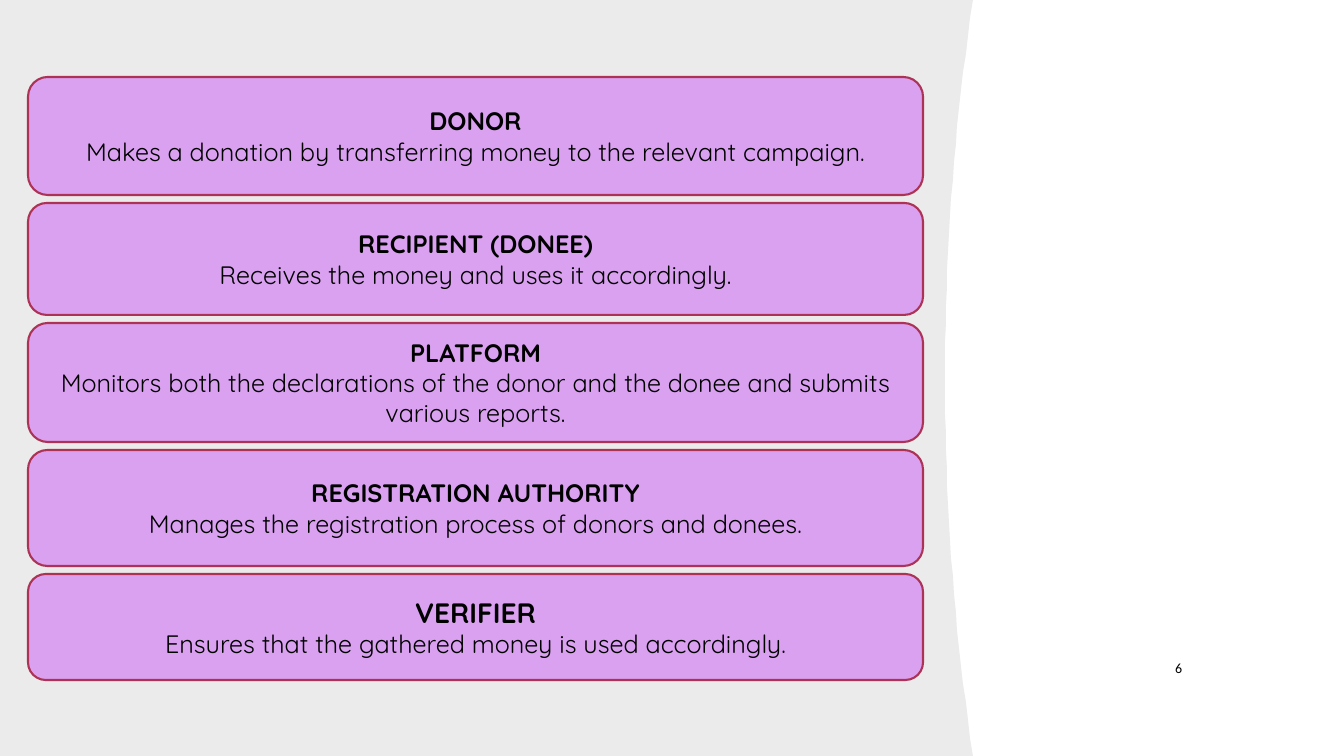
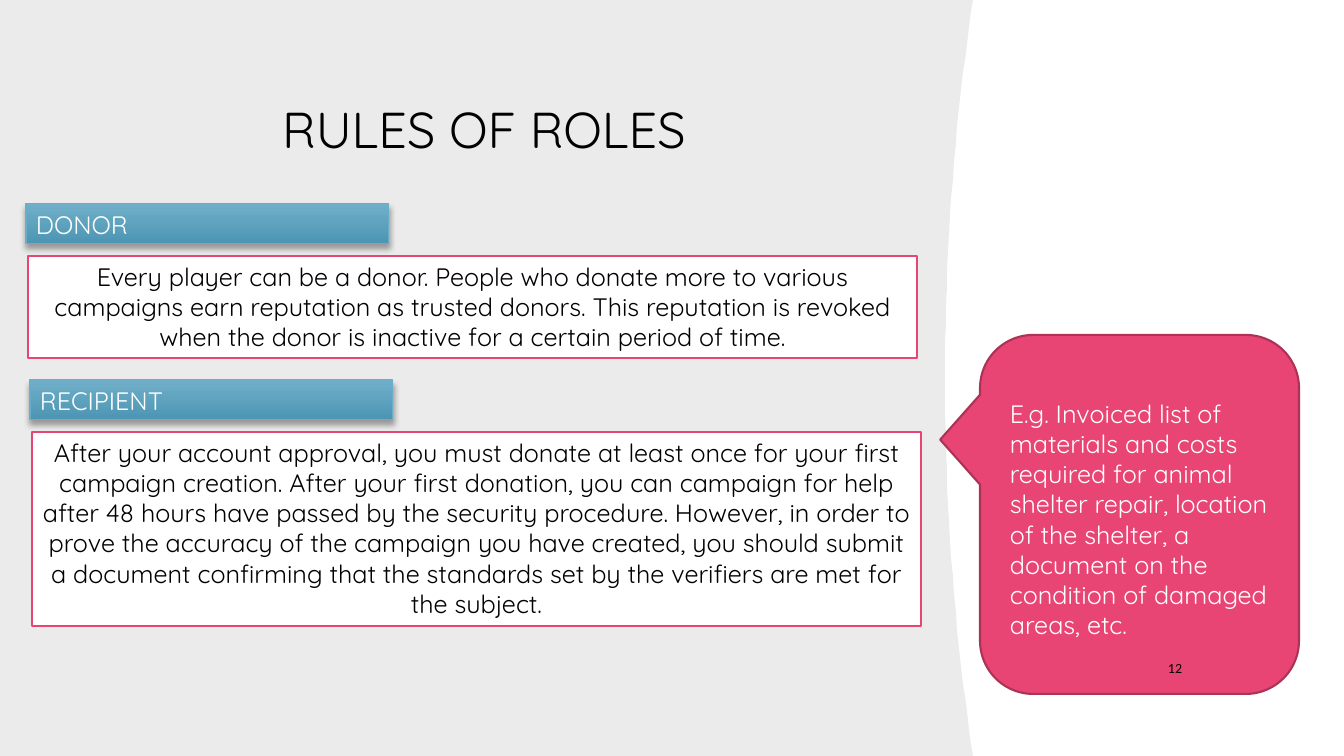
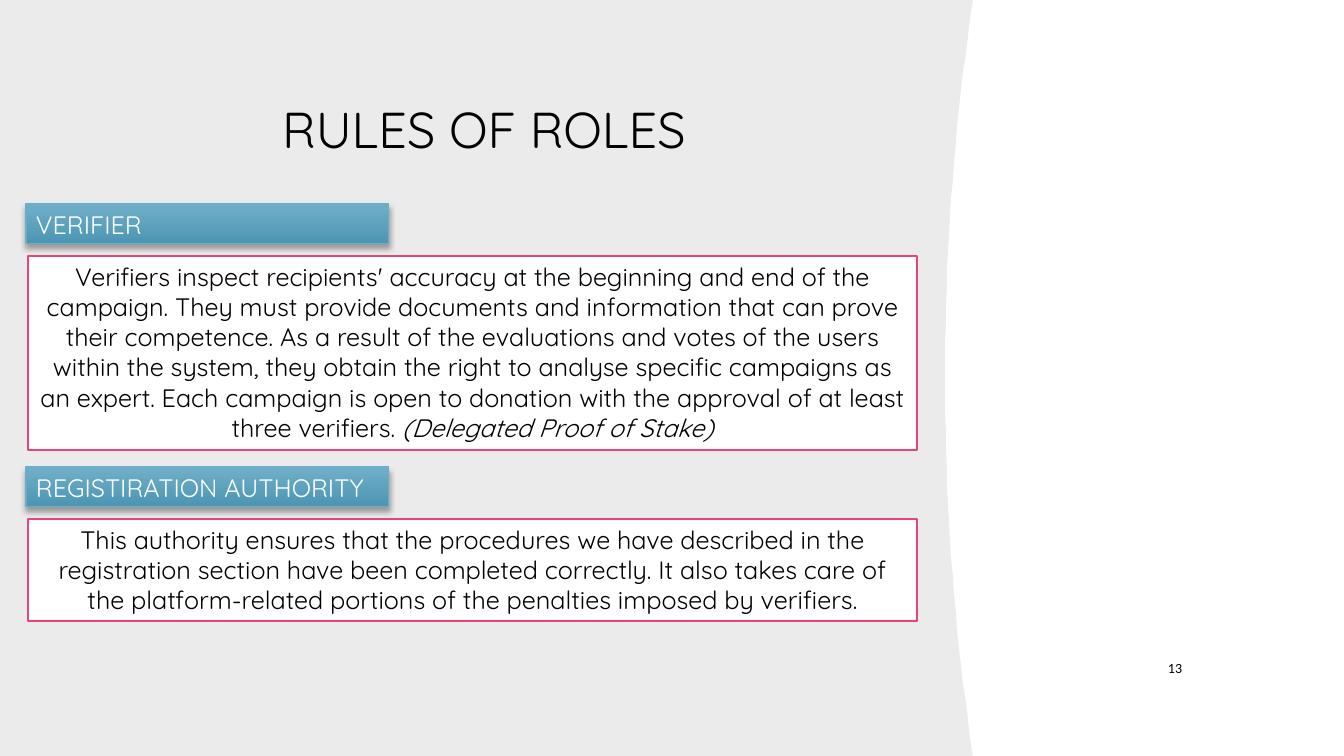
from lxml import etree
from pptx import Presentation
from pptx.dml.color import RGBColor
from pptx.enum.shapes import MSO_SHAPE
from pptx.enum.text import MSO_ANCHOR, PP_ALIGN
from pptx.oxml import parse_xml
from pptx.oxml.ns import nsdecls
from pptx.util import Pt

RECT, ROUNDED = MSO_SHAPE.RECTANGLE, MSO_SHAPE.ROUNDED_RECTANGLE
CALLOUT = MSO_SHAPE.ROUNDED_RECTANGULAR_CALLOUT
LEFT, CENTER, RIGHT = PP_ALIGN.LEFT, PP_ALIGN.CENTER, PP_ALIGN.RIGHT
TOP, MIDDLE = MSO_ANCHOR.TOP, MSO_ANCHOR.MIDDLE

EMU_PER_PX = 914400 / 100.8
WIDTH, HEIGHT = 1344, 756
FONT, NUMBER_FONT = "Quicksand", "Calibri"
BLACK, WHITE, GREY = "000000", "FFFFFF", "EBEBEB"
LILAC, PINK, WINE = "DBA1F1", "E84574", "AC3356"
BLUE_TOP, BLUE_BOTTOM, BLUE_EDGE = "70AFC9", "4C95B3", "6AADC8"

ROLES = [
    ("DONOR", 18, "Makes a donation by transferring money to the relevant campaign.", 118),
    ("RECIPIENT (DONEE)", 18, "Receives the money and uses it accordingly.", 112),
    ("PLATFORM", 18, "Monitors both the declarations of the donor and the donee and "
     "submits various reports.", 119),
    ("REGISTRATION AUTHORITY", 18,
     "Manages the registration process of donors and donees.", 116),
    ("VERIFIER", 20, "Ensures that the gathered money is used accordingly.", 106),
]
ROLES_LEFT, ROLES_TOP, ROLES_WIDTH, ROLES_GAP = 28, 77, 895, 8

RULES_TITLE = "RULES OF ROLES"
RULES = [
    {
        "number": 12,
        "rules": [
            (26, 204, 102, "DONOR",
             "Every player can be a donor. People who donate more to various campaigns "
             "earn reputation as trusted donors. This reputation is revoked when the "
             "donor is inactive for a certain period of time.", ""),
            (30, 380, 194, "RECIPIENT",
             "After your account approval, you must donate at least once for your first "
             "campaign creation. After your first donation, you can campaign for help "
             "after 48 hours have passed by the security procedure. However, in order to "
             "prove the accuracy of the campaign you have created, you should submit a "
             "document confirming that the standards set by the verifiers are met for "
             "the subject.", ""),
        ],
        "example": "E.g. Invoiced list of materials and costs required for animal shelter "
                   "repair, location of the shelter, a document on the condition of "
                   "damaged areas, etc.",
    },
    {
        "number": 13,
        "rules": [
            (26, 204, 194, "VERIFIER",
             "Verifiers inspect recipients' accuracy at the beginning and end of the "
             "campaign. They must provide documents and information that can prove their "
             "competence. As a result of the evaluations and votes of the users within "
             "the system, they obtain the right to analyse specific campaigns as an "
             "expert. Each campaign is open to donation with the approval of at least "
             "three verifiers. ", "(Delegated Proof of Stake)"),
            (26, 467, 102, "REGISTIRATION AUTHORITY",
             "This authority ensures that the procedures we have described in the "
             "registration section have been completed correctly. It also takes care of "
             "the platform-related portions of the penalties imposed by verifiers.", ""),
        ],
        "example": "",
    },
]


def px(length):
    return round(length * EMU_PER_PX)


def box(*lengths):
    return [px(length) for length in lengths]


def rgb(value):
    return RGBColor.from_string(value)


def style(paragraph, size=18, color=BLACK, align=LEFT, font=FONT, bold=False):
    paragraph.alignment = align
    paragraph.font.name = font
    paragraph.font.size = Pt(size)
    paragraph.font.bold = bold
    paragraph.font.color.rgb = rgb(color)


def add_block(slide, kind, area, fill, edge, edge_width=1.5, anchor=MIDDLE):
    block = slide.shapes.add_shape(kind, *box(*area))
    block.shadow.inherit = False
    if fill:
        block.fill.solid()
        block.fill.fore_color.rgb = rgb(fill)
    block.line.color.rgb = rgb(edge)
    block.line.width = Pt(edge_width)
    block.text_frame.vertical_anchor = anchor
    return block


def add_text(slide, area, text, anchor=TOP, **look):
    frame = slide.shapes.add_textbox(*box(*area)).text_frame
    frame.word_wrap = True
    frame.vertical_anchor = anchor
    frame.text = text
    style(frame.paragraphs[0], **look)


def add_number(slide, number):
    add_text(slide, (1132, 647, 60, 41), str(number), MIDDLE,
             size=10, align=RIGHT, font=NUMBER_FONT)


def add_panel_to_master(prs, slide):
    edge = [(945 + 28 * (2 * y / HEIGHT - 1) ** 2, y) for y in range(0, HEIGHT + 1, 18)]
    outline = slide.shapes.build_freeform(0, 0, scale=EMU_PER_PX)
    outline.add_line_segments(edge + [(0, HEIGHT)], close=True)
    panel = outline.convert_to_shape()
    panel.shadow.inherit = False
    panel.fill.solid()
    panel.fill.fore_color.rgb = rgb(GREY)
    panel.line.fill.background()
    panel._element.nvSpPr.cNvPr.id = 100
    prs.slide_master.shapes._spTree.insert(2, panel._element)


def add_role(slide, top, name, size, duty, height):
    card = add_block(slide, ROUNDED, (ROLES_LEFT, top, ROLES_WIDTH, height), LILAC, WINE)
    heading = card.text_frame.paragraphs[0]
    heading.text = name
    style(heading, size, align=CENTER, bold=True)
    line = card.text_frame.add_paragraph()
    line.text = duty
    style(line, align=CENTER)


def add_rule(slide, left, top, height, role, rule, aside):
    body = add_block(slide, RECT, (left + 2, top + 52, 889, height), WHITE, PINK, anchor=TOP)
    text = body.text_frame.paragraphs[0]
    style(text, align=CENTER)
    text.add_run().text = rule
    if aside:
        run = text.add_run()
        run.text = aside
        run.font.italic = True

    label = add_block(slide, RECT, (left, top, 363, 40), None, BLUE_EDGE, 0.75, TOP)
    label.fill.gradient()
    label.fill.gradient_angle = 270
    for stop, color, position in zip(label.fill.gradient_stops, (BLUE_TOP, BLUE_BOTTOM), (0, 1)):
        stop.color.rgb = rgb(color)
        stop.position = position
    effects = label._element.spPr.find("{*}effectLst")
    effects.append(parse_xml(
        f'<a:outerShdw {nsdecls("a")} blurRad="{Pt(4)}" dist="{Pt(3)}" dir="5400000" '
        'rotWithShape="0"/>'))
    shade = etree.SubElement(effects[0], effects.tag.replace("effectLst", "srgbClr"), val=BLACK)
    etree.SubElement(shade, effects.tag.replace("effectLst", "alpha"), val="35000")
    label.text_frame.text = role
    style(label.text_frame.paragraphs[0], color=WHITE)


def add_example(slide, example):
    bubble = add_block(slide, CALLOUT, (960, 355, 359, 319), PINK, WINE)
    bubble.rotation = 90
    add_text(slide, (1000, 393, 305, 254), example, color=WHITE)


def build_roles(prs):
    slide = prs.slides.add_slide(prs.slide_layouts[6])
    add_panel_to_master(prs, slide)
    top = ROLES_TOP
    for name, size, duty, height in ROLES:
        add_role(slide, top, name, size, duty, height)
        top += height + ROLES_GAP
    add_number(slide, 6)


def build_rules(prs, content):
    slide = prs.slides.add_slide(prs.slide_layouts[5])
    title = slide.shapes.title
    title.left, title.top, title.width, title.height = box(76, 63, 816, 131)
    title.text_frame.text = RULES_TITLE
    title.text_frame.vertical_anchor = MIDDLE
    style(title.text_frame.paragraphs[0], 36, align=CENTER)
    for rule in content["rules"]:
        add_rule(slide, *rule)
    if content["example"]:
        add_example(slide, content["example"])
    add_number(slide, content["number"])


def main():
    prs = Presentation()
    prs.slide_width, prs.slide_height = box(WIDTH, HEIGHT)
    build_roles(prs)
    for content in RULES:
        build_rules(prs, content)
    prs.save("out.pptx")


if __name__ == "__main__":
    main()
